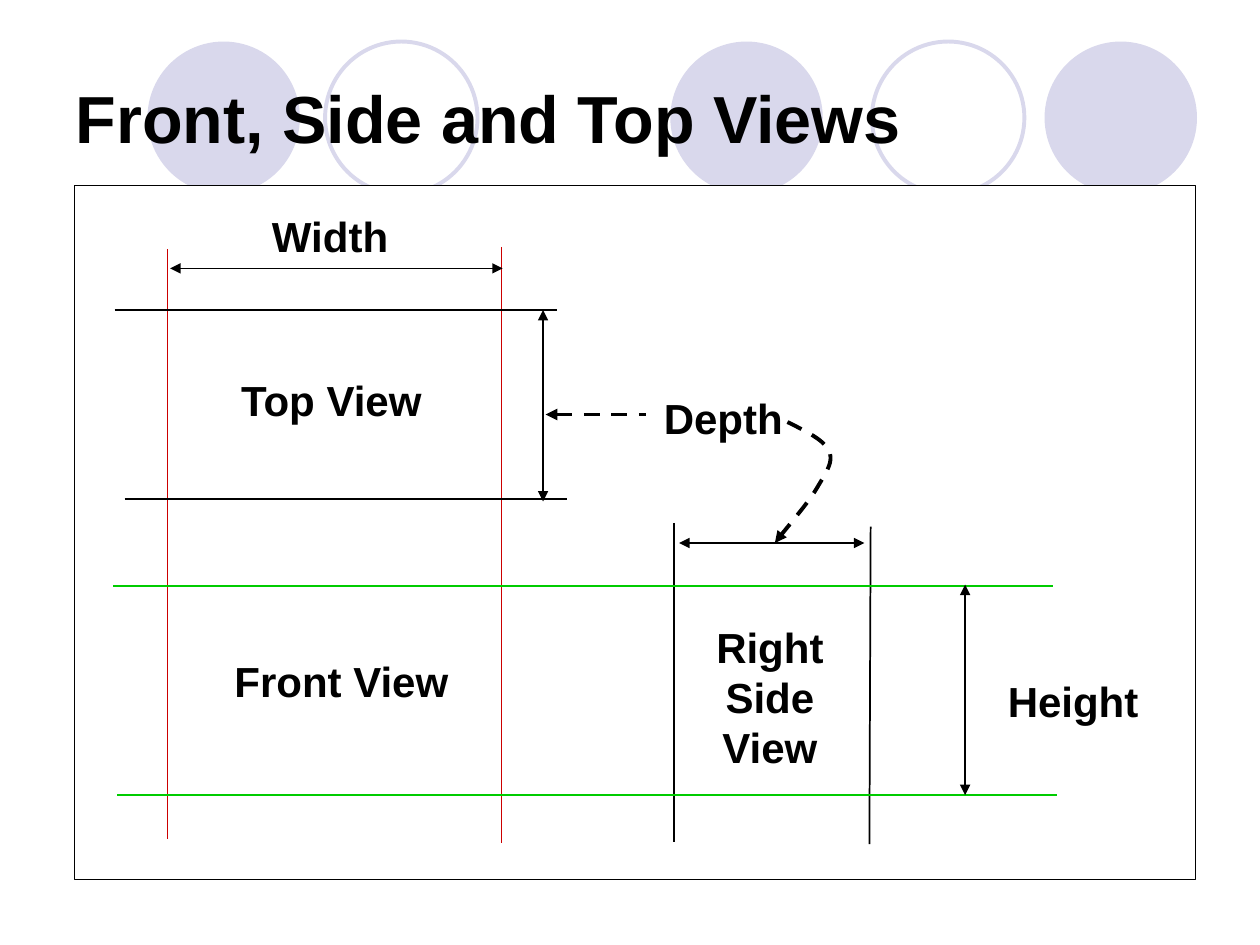
from lxml import etree
from pptx import Presentation, util as u
from pptx.dml.color import RGBColor
from pptx.enum import dml, shapes as sh, text as tx
from pptx.oxml import ns

BLACK = RGBColor(0x00, 0x00, 0x00)
WHITE = RGBColor(0xFF, 0xFF, 0xFF)
RED = RGBColor(0xCC, 0x00, 0x00)
GREEN = RGBColor(0x00, 0xCC, 0x00)
LILAC = RGBColor(0xD9, 0xD8, 0xEC)
FONT = "Arial"
WIDE, HIGH = 10, 7.5
UNIT = u.Inches(WIDE) // 100  # grid step: a hundredth of the slide's width


def grid(*vals):
    return [round(v * UNIT) for v in vals]


def write(frame, words, size):
    run = frame.paragraphs[0].add_run()
    run.text = words
    font = run.font
    font.name, font.size, font.bold = FONT, u.Pt(size), True
    font.color.rgb = BLACK


def pen(line, color, width, dash=False):
    line.color.rgb = color
    line.width = u.Pt(width)
    if dash:
        line.dash_style = dml.MSO_LINE.DASH


def arrow(shape, *ends):
    """Add arrowheads; ends are 'headEnd' and 'tailEnd', in that order."""
    ln = shape.line._get_or_add_ln()
    for end in ends:
        etree.SubElement(ln, ns.qn("a:" + end), type="triangle")


def circles(slide, left, top):
    """Place the row of circles behind the title."""
    size = 12.1
    row = [(0, True), (14.1, False), (41.5, True), (57.5, False), (71.2, True)]
    for col, full in row:
        dot = slide.shapes.add_shape(
            sh.MSO_SHAPE.OVAL, *grid(left + col, top, size, size))
        dot.shadow.inherit = False
        if full:
            dot.fill.solid()
            dot.fill.fore_color.rgb = LILAC
            dot.line.fill.background()
        else:
            dot.fill.background()
            pen(dot.line, LILAC, 2.25)


def heading(slide, left, top, width, height):
    title = slide.shapes.title
    title.left, title.top, title.width, title.height = grid(
        left, top, width, height)
    frame = title.text_frame
    frame.word_wrap = True
    frame.auto_size = tx.MSO_AUTO_SIZE.NONE
    frame.vertical_anchor = tx.MSO_ANCHOR.MIDDLE
    frame.paragraphs[0].alignment = tx.PP_ALIGN.LEFT
    write(frame, "Front, Side and Top Views", 38)
    slide.shapes._spTree.append(title._element)  # in front of the circles


def views(slide, left, top, width, height):
    """Draw the panel with the three views and their dimensions."""
    def rule(x1, y1, x2, y2, color=BLACK, weight=1, dash=False, ends=()):
        line = slide.shapes.add_connector(
            sh.MSO_CONNECTOR.STRAIGHT,
            *grid(left + x1, top + y1, left + x2, top + y2))
        pen(line.line, color, weight, dash)
        arrow(line, *ends)
        etree.SubElement(line._element.spPr, ns.qn("a:effectLst"))

    def label(words, x, y, wide, high=5, align=tx.PP_ALIGN.CENTER):
        box = slide.shapes.add_textbox(*grid(left + x, top + y, wide, high))
        frame = box.text_frame
        frame.word_wrap = True
        frame.auto_size = tx.MSO_AUTO_SIZE.SHAPE_TO_FIT_TEXT
        frame.paragraphs[0].alignment = align
        write(frame, words, 24)

    def curve(start, *parts, steps=12):
        """Trace a chain of cubic curves as a dashed arrow."""
        dots, here = [], start
        for one, two, end in parts:
            for i in range(1, steps + 1):
                t = i / steps
                s = 1 - t
                dots.append(tuple(grid(*(
                    o + s**3 * a + 3 * s * s * t * b + 3 * s * t * t * c
                    + t**3 * d
                    for o, a, b, c, d in zip((left, top), here, one, two, end)
                ))))
            here = end
        path = slide.shapes.build_freeform(
            *grid(left + start[0], top + start[1]))
        path.add_line_segments(dots, close=False)
        shape = path.convert_to_shape()
        shape.shadow.inherit = False
        shape.fill.background()
        pen(shape.line, BLACK, 2.25, True)
        arrow(shape, "tailEnd")

    panel = slide.shapes.add_shape(
        sh.MSO_SHAPE.RECTANGLE, *grid(left, top, width, height))
    panel.shadow.inherit = False
    panel.fill.solid()
    panel.fill.fore_color.rgb = WHITE
    pen(panel.line, BLACK, 0.75)

    for ends in [
        (7.4, 5.1, 7.4, 51.9, RED), (33.9, 4.9, 33.9, 52.2, RED),
        (47.6, 26.8, 47.6, 52.1), (63.2, 27.1, 63.1, 52.3),
        (3.4, 48.4, 78, 48.4, GREEN), (3.1, 31.8, 77.7, 31.8, GREEN),
        (4, 24.9, 39.1, 24.9), (3.2, 9.9, 38.3, 9.9),
    ]:
        rule(*ends)

    for ends in [
        (70.7, 31.7, 70.7, 48.4), (48, 28.4, 62.7, 28.4),
        (37.2, 9.9, 37.2, 25.1), (7.6, 6.6, 34, 6.6),
    ]:
        rule(*ends, ends=("headEnd", "tailEnd"))

    rule(37.4, 18.2, 45.4, 18.2, weight=2.25, dash=True, ends=("headEnd",))
    curve((56.6, 18.8),
          ((58, 19.5), (59.5, 20.2), (59.9, 21.1)),
          ((60.3, 22), (59.6, 22.9), (58.9, 24.1)),
          ((58.2, 25.3), (56.1, 27.7), (55.6, 28.4)))

    label("Height", 73.1, 38.4, 13.3, align=tx.PP_ALIGN.LEFT)
    label("Depth", 45.8, 16, 14.3, align=tx.PP_ALIGN.LEFT)
    label("Width", 11.1, 1.5, 18.4)
    label("Front View", 10.7, 36.8, 21)
    label("Top View", 10.1, 14.5, 20.6)
    label("Right Side View", 49.3, 34.1, 11.8, 13)


def main():
    deck = Presentation()
    deck.slide_width, deck.slide_height = u.Inches(WIDE), u.Inches(HIGH)
    slide = deck.slides.add_slide(deck.slide_layouts[5])
    circles(slide, 11.7, 3.3)
    heading(slide, 5, 3, 90, 12.5)
    views(slide, 5.9, 14.7, 89, 55.1)
    deck.save("out.pptx")


if __name__ == "__main__":
    main()
